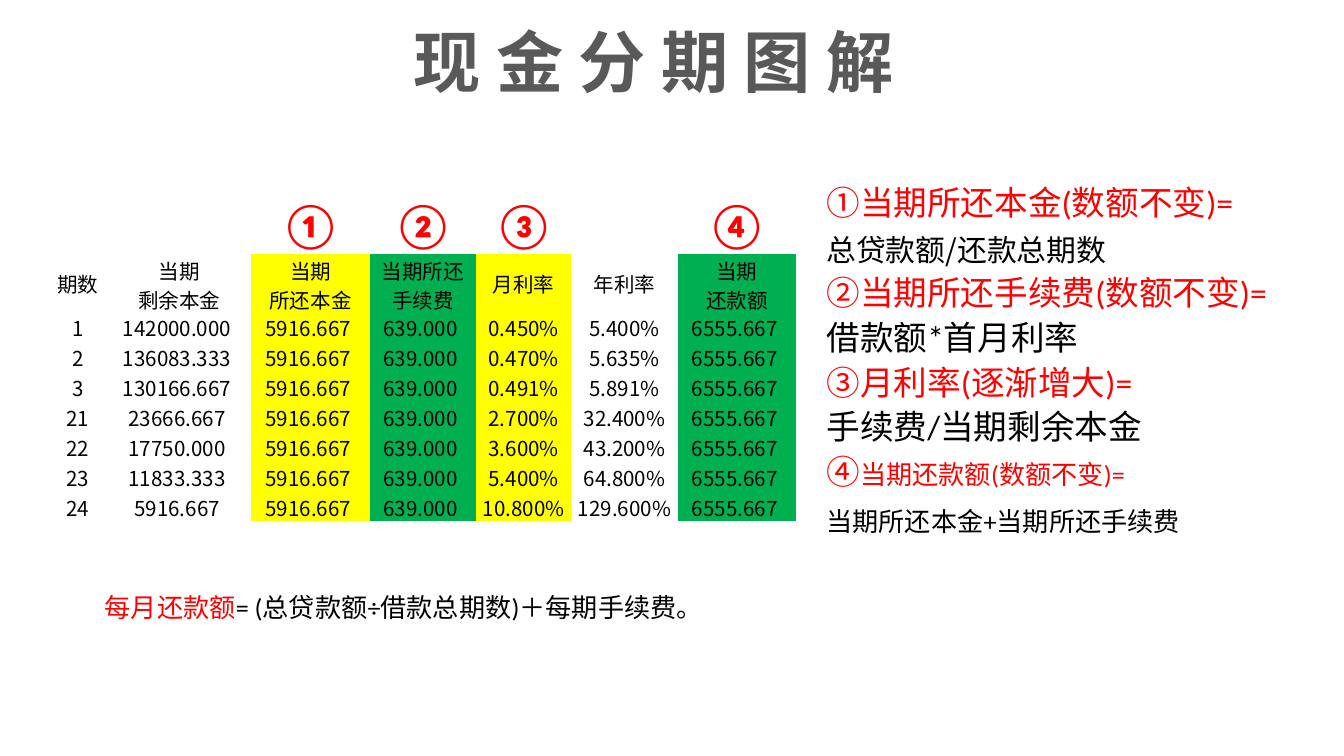
from pptx import Presentation
from pptx.dml.color import RGBColor
from pptx.enum.text import MSO_ANCHOR, MSO_AUTO_SIZE, PP_ALIGN
from pptx.oxml.ns import qn
from pptx.util import Cm, Pt

CENTER = PP_ALIGN.CENTER
TOP, MIDDLE, BOTTOM = MSO_ANCHOR.TOP, MSO_ANCHOR.MIDDLE, MSO_ANCHOR.BOTTOM
GROW = MSO_AUTO_SIZE.SHAPE_TO_FIT_TEXT
PLAIN_TABLE_STYLE = "{2D5ABB26-0587-4C30-8999-92F81FD0307C}"

LATIN, CHINESE = "Calibri", "Noto Sans CJK SC"
RED, BLACK, GRAY = "FF0000", "000000", "595959"
YELLOW, GREEN = "FFFF00", "00B050"

COLUMN_WIDTHS = [1.12, 2.72, 2.24, 2.01, 1.8, 2.01, 2.24]
ROW_HEIGHTS = [1.42, 1.09] + [0.565] * 7
COLUMN_FILLS = {2: YELLOW, 3: GREEN, 4: YELLOW, 6: GREEN}

MARKERS = ["", "", "①", "②", "③", "", "④"]
HEADINGS = ["期数", "当期\n剩余本金", "当期\n所还本金", "当期所还\n手续费",
            "月利率", "年利率", "当期\n还款额"]
PRINCIPAL, FEE = 5916.667, 639
# period, remaining principal, monthly rate %, annual rate %
INSTALMENTS = [
    (1, 142000, 0.45, 5.4),
    (2, 136083.333, 0.47, 5.635),
    (3, 130166.667, 0.491, 5.891),
    (21, 23666.667, 2.7, 32.4),
    (22, 17750, 3.6, 43.2),
    (23, 11833.333, 5.4, 64.8),
    (24, 5916.667, 10.8, 129.6),
]


def color(hex_string):
    return RGBColor.from_string(hex_string)


def amount(value):
    return f"{value:.3f} "


def instalment_row(period, remaining, monthly, annual):
    return [str(period), amount(remaining), amount(PRINCIPAL), amount(FEE),
            f"{monthly:.3f}%", f"{annual:.3f}%", amount(PRINCIPAL + FEE)]


def set_values(target, values):
    for attribute, value in values.items():
        setattr(target, attribute, value)


def text_format(size, ink, font=LATIN, bold=False):
    return {"size": Pt(size), "name": font, "bold": bold, "ink": ink}


class SlideBuilder:
    title_format = text_format(36, GRAY, "Roboto Condensed", True)
    marker_format = text_format(24, RED, bold=True)
    table_format = text_format(11, BLACK, CHINESE)
    frame_values = {"word_wrap": True, "auto_size": GROW, "vertical_anchor": TOP}
    cell_margins = {"margin_left": Cm(0.02), "margin_right": Cm(0.02),
                    "margin_top": Cm(0.02), "margin_bottom": 0}

    def __init__(self, slide):
        self.slide = slide

    def style_run(self, run, values):
        set_values(run.font, {k: v for k, v in values.items() if k != "ink"})
        run.font.color.rgb = color(values["ink"])

    def title(self, text, left, top, width, height):
        heading = self.slide.shapes.title
        set_values(heading, {"left": Cm(left), "top": Cm(top),
                             "width": Cm(width), "height": Cm(height)})
        heading.text_frame.text = text
        set_values(heading.text_frame, self.frame_values)
        paragraph = heading.text_frame.paragraphs[0]
        set_values(paragraph, {"alignment": CENTER, "line_spacing": 1.0,
                               "space_before": Pt(0)})
        self.style_run(paragraph.runs[0], self.title_format)

    def text(self, lines, left, top, width, height, line_spacing=None):
        """Add a text box; each line is a list of (text, format) pairs."""
        box = self.slide.shapes.add_textbox(Cm(left), Cm(top), Cm(width), Cm(height))
        frame = box.text_frame
        set_values(frame, self.frame_values)
        for index, line in enumerate(lines):
            paragraph = frame.add_paragraph() if index else frame.paragraphs[0]
            paragraph.line_spacing = line_spacing
            for words, values in line:
                run = paragraph.add_run()
                run.text = words
                self.style_run(run, values)

    def cell(self, cell, text, values, anchor, fill):
        cell.text = text
        set_values(cell, {**self.cell_margins, "vertical_anchor": anchor})
        for paragraph in cell.text_frame.paragraphs:
            paragraph.alignment = CENTER
            for run in paragraph.runs:
                self.style_run(run, values)
        if fill:
            cell.fill.solid()
            cell.fill.fore_color.rgb = color(fill)
        else:
            cell.fill.background()

    def table(self, rows, left, top):
        """Add the schedule; its first row holds the markers above the headings."""
        frame = self.slide.shapes.add_table(
            len(rows), len(COLUMN_WIDTHS), Cm(left), Cm(top),
            Cm(sum(COLUMN_WIDTHS)), Cm(sum(ROW_HEIGHTS)))
        table = frame.table
        set_values(table, {"first_row": False, "horz_banding": False})
        style_id = frame._element.find(".//" + qn("a:tableStyleId"))
        style_id.text = PLAIN_TABLE_STYLE
        for column, width in zip(table.columns, COLUMN_WIDTHS):
            column.width = Cm(width)
        for row, height in zip(table.rows, ROW_HEIGHTS):
            row.height = Cm(height)
        for r, texts in enumerate(rows):
            for c, text in enumerate(texts):
                if r == 0:
                    look = (self.marker_format, BOTTOM, None)
                else:
                    look = (self.table_format, MIDDLE, COLUMN_FILLS.get(c))
                self.cell(table.cell(r, c), text, *look)


def main():
    presentation = Presentation()
    set_values(presentation, {"slide_width": Cm(25.4), "slide_height": Cm(14.28)})
    title_only = presentation.slide_layouts[5]
    builder = SlideBuilder(presentation.slides.add_slide(title_only))

    builder.title("现 金 分 期 图 解", 4.9, 0.25, 14.91, 1.8)

    term, meaning = text_format(18, RED), text_format(18, BLACK)
    small_term, small_meaning = text_format(14, RED), text_format(14, BLACK)
    formulas = [
        [("①当期所还本金(数额不变)=", term)],
        [("总贷款额/还款总期数", text_format(16, BLACK, CHINESE))],
        [("②当期所还手续费(数额不变)=", term)],
        [("借款额*首月利率", meaning)],
        [("③月利率(逐渐增大)=", term)],
        [("手续费/当期剩余本金", meaning)],
        [("④", term), ("当期还款额(数额不变)=", small_term)],
        [("当期所还本金+当期所还手续费", small_meaning)],
    ]
    builder.text(formulas, 15.37, 3.23, 8.92, 7.09, Pt(24))

    monthly_payment = [("每月还款额", small_term),
                       ("= (总贷款额÷借款总期数)＋每期手续费。", small_meaning)]
    builder.text([monthly_payment], 1.73, 11.05, 22.71, 0.86)

    schedule = [instalment_row(*instalment) for instalment in INSTALMENTS]
    builder.table([MARKERS, HEADINGS] + schedule, 0.91, 3.38)

    presentation.save("out.pptx")


if __name__ == "__main__":
    main()
